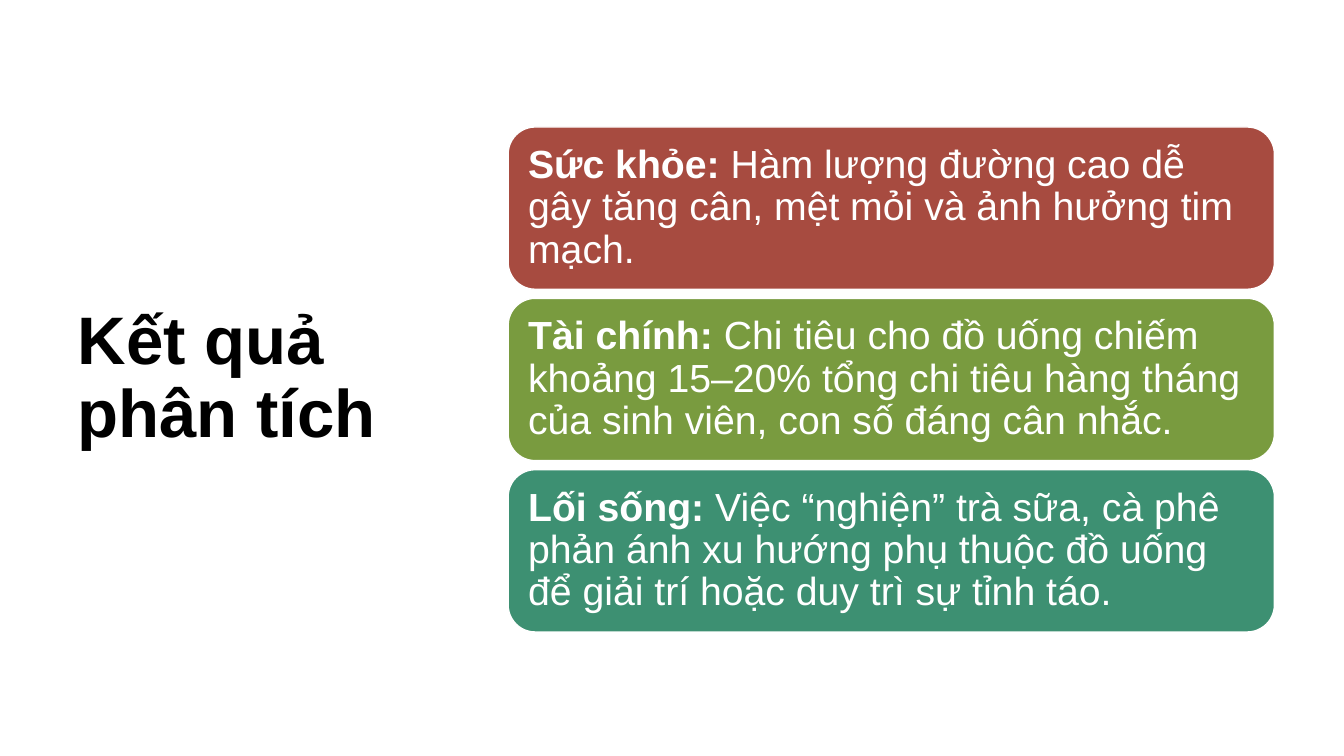
import dataclasses
import pptx
import pptx.dml.color
import pptx.enum.shapes
import pptx.enum.text
import pptx.util

Inches = pptx.util.Inches
Pt = pptx.util.Pt


@dataclasses.dataclass
class Theme:
    font: str = "Arial"
    ink: str = "000000"
    paper: str = "FFFFFF"
    red: str = "A74B40"
    green: str = "799B3F"
    teal: str = "3D9072"
    title: int = 48
    body: int = 28
    leading: float = 0.9


def color(code):
    return pptx.dml.color.RGBColor.from_string(code)


class Page:
    """Holds the theme and the current slide."""

    def __init__(self, slide, theme):
        self.slide = slide
        self.theme = theme

    def label(self, shape, runs, size, ink, inset):
        """Fill a shape with one paragraph of (text, bold) runs."""
        frame = shape.text_frame
        frame.word_wrap = True
        frame.vertical_anchor = pptx.enum.text.MSO_ANCHOR.MIDDLE
        frame.margin_left = frame.margin_right = Inches(inset[0])
        frame.margin_top = frame.margin_bottom = Inches(inset[1])
        para = frame.paragraphs[0]
        para.alignment = pptx.enum.text.PP_ALIGN.LEFT
        para.line_spacing = self.theme.leading
        for text, bold in runs:
            run = para.add_run()
            run.text = text
            run.font.name = self.theme.font
            run.font.size = Pt(size)
            run.font.bold = bold
            run.font.color.rgb = color(ink)

    def title(self, text, box):
        shape = self.slide.shapes.add_textbox(*map(Inches, box))
        self.label(shape, [(text, True)], self.theme.title,
                   self.theme.ink, (0.1, 0.05))

    def card(self, topic, text, fill, box):
        shape = self.slide.shapes.add_shape(
            pptx.enum.shapes.MSO_SHAPE.ROUNDED_RECTANGLE, *map(Inches, box))
        shape.shadow.inherit = False
        shape.fill.solid()
        shape.fill.fore_color.rgb = color(fill)
        shape.line.color.rgb = color(self.theme.paper)
        shape.line.width = Pt(1)
        self.label(shape, [(topic, True), (text, False)], self.theme.body,
                   self.theme.paper, (0.12, 0.12))


def main():
    deck = pptx.Presentation()
    deck.slide_width = Inches(13.33)
    deck.slide_height = Inches(7.5)
    theme = Theme()
    page = Page(deck.slides.add_slide(deck.slide_layouts[6]), theme)

    page.title("Kết quả phân tích", (0.67, 0.6, 3.68, 6.33))
    cards = [
        ("Sức khỏe:", " Hàm lượng đường cao dễ gây tăng cân, mệt mỏi "
         "và ảnh hưởng tim mạch.", theme.red),
        ("Tài chính:", " Chi tiêu cho đồ uống chiếm khoảng 15–20% tổng "
         "chi tiêu hàng tháng của sinh viên, con số đáng cân nhắc.",
         theme.green),
        ("Lối sống:", " Việc “nghiện” trà sữa, cà phê phản ánh xu hướng "
         "phụ thuộc đồ uống để giải trí hoặc duy trì sự tỉnh táo.",
         theme.teal),
    ]
    top, pitch = 1.26, 1.7
    for row, (topic, text, fill) in enumerate(cards):
        page.card(topic, text, fill, (5.04, top + row * pitch, 7.6, 1.61))

    deck.save("out.pptx")


if __name__ == "__main__":
    main()
